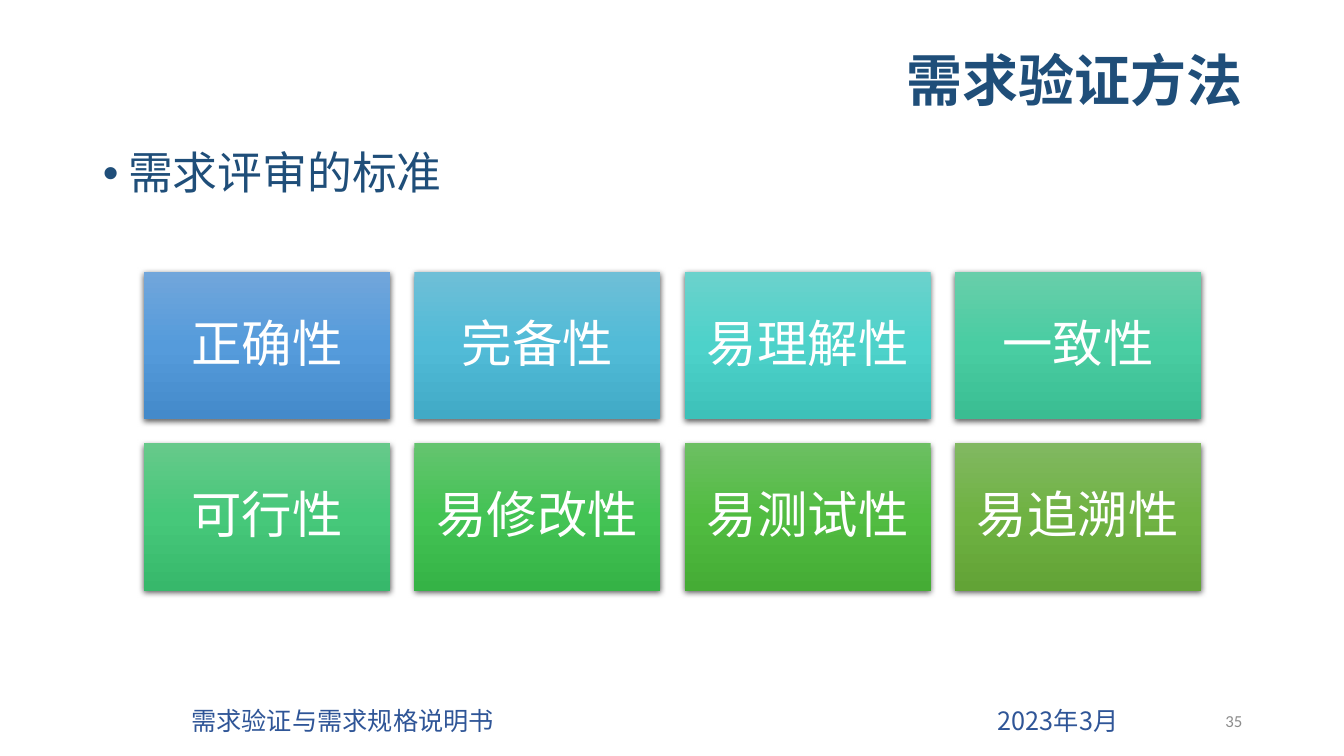
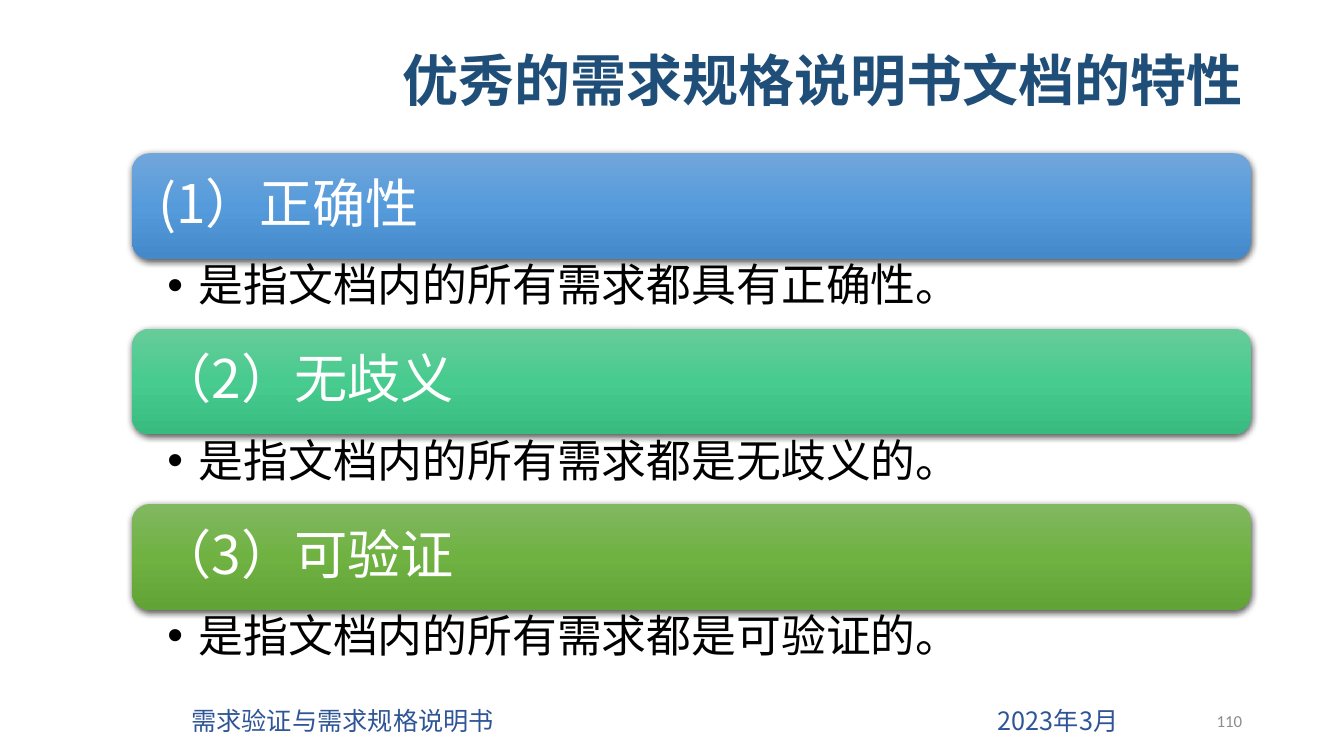
import pptx
import pptx.dml.color
import pptx.enum.shapes
import pptx.enum.text
import pptx.oxml.ns
import pptx.oxml.xmlchemy
import pptx.util

# Content
FOOTERS = [("需求验证与需求规格说明书", 180), ("2023年3月", 980)]
CRITERIA_TITLE = "需求验证方法"
CRITERIA_LEAD = "需求评审的标准"
CRITERIA = [
    ("正确性", ("71A6DB", "559BDB", "448ACA")),
    ("完备性", ("6EBFD7", "51BBD7", "41AAC6")),
    ("易理解性", ("6BD2CC", "4DD2CA", "3DC1B9")),
    ("一致性", ("68CEAA", "49CDA2", "3ABD92")),
    ("可行性", ("66C98A", "46C87A", "37B86B")),
    ("易修改性", ("64C46F", "43C354", "35B346")),
    ("易测试性", ("6CBF62", "51BC41", "45AC35")),
    ("易追溯性", ("81B861", "6FB242", "62A336")),
]
TRAITS_TITLE = "优秀的需求规格说明书文档的特性"
TRAITS = [
    ("(1）正确性", "是指文档内的所有需求都具有正确性。",
     ("71A6DB", "559BDB", "448ACA")),
    ("（2）无歧义", "是指文档内的所有需求都是无歧义的。",
     ("67CC9A", "47CB8E", "39BB7F")),
    ("（3）可验证", "是指文档内的所有需求都是可验证的。",
     ("81B861", "6FB242", "62A336")),
]

# Shared style
PX = 9144  # 100 px to the inch
SANS, SANS_BODY, NUMBER_FONT = "Noto Sans CJK SC", "Noto Sans CJK JP", "Calibri"
NAVY, FOOTER_BLUE, GREY, WHITE, BLACK = "1F4E79", "2F5597", "8C8C8C", "FFFFFF", "000000"
ALIGN = pptx.enum.text.PP_ALIGN
ANCHOR = pptx.enum.text.MSO_ANCHOR
SHAPE = pptx.enum.shapes.MSO_SHAPE


def color(hex_string):
    return pptx.dml.color.RGBColor.from_string(hex_string)


def add_child(parent, tag, **attributes):
    child = pptx.oxml.xmlchemy.OxmlElement(tag)
    for name, value in attributes.items():
        child.set(name, str(value))
    parent.append(child)
    return child


def place(shape, left, top, width, height):
    shape.left, shape.top = left * PX, top * PX
    shape.width, shape.height = width * PX, height * PX


def write(shape, text, size=18, fill=BLACK, font=SANS, bold=False, align=ALIGN.LEFT,
          anchor=ANCHOR.TOP, insets=(10, 5, 10, 5), spacing=1.0, bullet_indent=0):
    frame = shape.text_frame
    frame.word_wrap = True
    frame.auto_size = pptx.enum.text.MSO_AUTO_SIZE.NONE
    frame.vertical_anchor = anchor
    (frame.margin_left, frame.margin_top,
     frame.margin_right, frame.margin_bottom) = [inset * PX for inset in insets]
    paragraph = frame.paragraphs[0]
    paragraph.alignment = align
    paragraph.line_spacing = spacing
    paragraph.space_before = pptx.util.Pt(0)
    if bullet_indent:
        properties = paragraph._p.get_or_add_pPr()
        properties.set("marL", str(bullet_indent * PX))
        properties.set("indent", str(-bullet_indent * PX))
        add_child(properties, "a:buFont", typeface="Arial")
        add_child(properties, "a:buChar", char="•")
    run = paragraph.add_run()
    run.text = text
    run.font.size = pptx.util.Pt(size)
    run.font.bold = bold
    run.font.name = font
    run.font.color.rgb = color(fill)
    add_child(run._r.get_or_add_rPr(), "a:ea", typeface=font)


def add_text(slide, box, text, **style):
    shape = slide.shapes.add_textbox(*[length * PX for length in box])
    write(shape, text, **style)
    return shape


def add_panel(slide, kind, box, colors, text, **style):
    """A gradient panel with a soft shadow and white text."""
    shape = slide.shapes.add_shape(kind, *[length * PX for length in box])
    shape.line.fill.background()
    shape.fill.gradient()
    shape.fill.gradient_angle = 270
    properties = shape.element.spPr
    stops = properties.find(".//" + pptx.oxml.ns.qn("a:gsLst"))
    for stop in list(stops):
        stops.remove(stop)
    for position, value in zip((0, 50000, 100000), colors):
        add_child(add_child(stops, "a:gs", pos=position), "a:srgbClr", val=value)
    shape.shadow.inherit = False
    effects = properties.find(pptx.oxml.ns.qn("a:effectLst"))
    shadow = add_child(effects, "a:outerShdw", blurRad=57150, dist=19050,
                       dir=5400000, algn="ctr", rotWithShape=0)
    add_child(add_child(shadow, "a:srgbClr", val=BLACK), "a:alpha", val=63000)
    write(shape, text, fill=WHITE, anchor=ANCHOR.MIDDLE, spacing=0.9, **style)


def add_slide(presentation, layout, title, number):
    slide = presentation.slides.add_slide(presentation.slide_layouts[layout])
    place(slide.shapes.title, 92, 31, 1150, 104)
    write(slide.shapes.title, title, size=40, fill=NAVY, bold=True,
          align=ALIGN.RIGHT, anchor=ANCHOR.MIDDLE, spacing=0.9)
    add_text(slide, (942, 695, 300, 40), number, size=12, fill=GREY,
             font=NUMBER_FONT, align=ALIGN.RIGHT, anchor=ANCHOR.MIDDLE)
    return slide


def move_footers_to_master(presentation, slide):
    tree = presentation.slide_master.shapes.element
    for index, (text, left) in enumerate(FOOTERS):
        footer = add_text(slide, (left, 695, 340, 40), text, fill=FOOTER_BLUE)
        footer.element.nvSpPr.cNvPr.set("id", str(101 + index))
        tree.append(footer.element)


def build_criteria(presentation):
    slide = add_slide(presentation, 1, CRITERIA_TITLE, "35")
    move_footers_to_master(presentation, slide)
    body = slide.placeholders[1]
    place(body, 92, 145, 1150, 531)
    write(body, CRITERIA_LEAD, size=32, fill=NAVY, font=SANS_BODY,
          spacing=0.9, bullet_indent=25)
    # Grid of four columns
    left, top, width, height, gap, columns = 143, 270, 244, 146, 24, 4
    for index, (name, colors) in enumerate(CRITERIA):
        row, column = divmod(index, columns)
        box = (left + column * (width + gap), top + row * (height + gap), width, height)
        add_panel(slide, SHAPE.RECTANGLE, box, colors, name, size=36,
                  align=ALIGN.CENTER, insets=(15, 15, 15, 15))


def build_traits(presentation):
    slide = add_slide(presentation, 5, TRAITS_TITLE, "110")
    # Stack of bars, each with its explanation below
    left, top, width, bar_height, note_height = 131, 152, 1110, 105, 69
    for index, (name, note, colors) in enumerate(TRAITS):
        bar_top = top + index * (bar_height + note_height)
        add_panel(slide, SHAPE.ROUNDED_RECTANGLE, (left, bar_top, width, bar_height),
                  colors, name, size=38, insets=(21, 21, 21, 21))
        add_text(slide, (left, bar_top + bar_height, width, note_height), note,
                 size=32, insets=(35, 4, 25, 4), spacing=0.9, bullet_indent=31)


def main():
    presentation = pptx.Presentation()
    presentation.slide_width, presentation.slide_height = 1333 * PX, 750 * PX
    build_criteria(presentation)
    build_traits(presentation)
    presentation.save("out.pptx")


if __name__ == "__main__":
    main()
